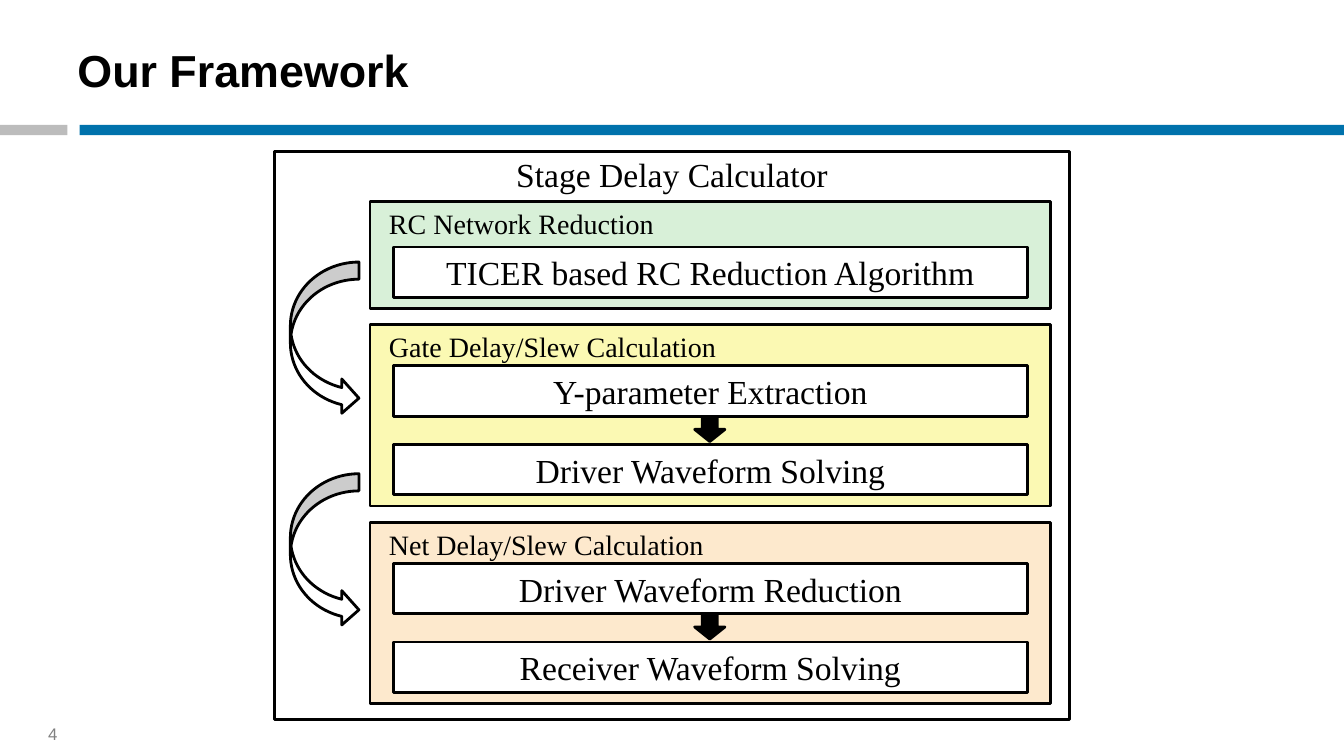
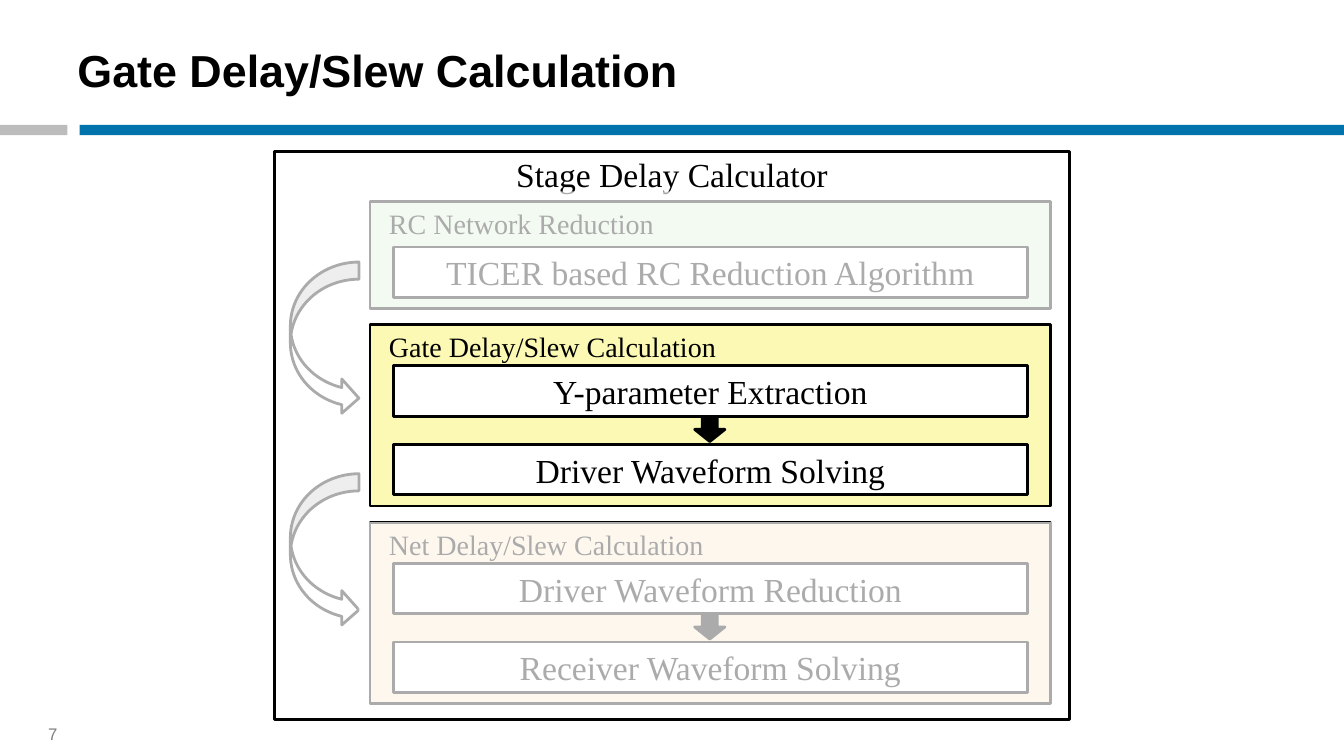
from pptx import Presentation
from pptx import util as u
from pptx.dml import color
from pptx.enum import shapes, text
from pptx.oxml import ns
from lxml import etree

SANS, SERIF = "Arial", "Times New Roman"
BLACK, WHITE, GREY = "000000", "FFFFFF", "808080"
BLUE, SILVER = "0072AC", "BCBCBC"
KIND = shapes.MSO_SHAPE
LEFT, MID = text.PP_ALIGN.LEFT, text.PP_ALIGN.CENTER

FRAME = (2.72, 1.5, 7.89, 5.64)
TOP, GAP = 2, 0.16            # first stage, space between stages
STEP, PITCH, FOOT = 0.5, 0.78, 0.11
STAGES = [
    ("RC Network Reduction", "D8F0D8", 1.06,
     ["TICER based RC Reduction Algorithm"]),
    ("Gate Delay/Slew Calculation", "FBF9B3", 1.8,
     ["Y-parameter Extraction", "Driver Waveform Solving"]),
    ("Net Delay/Slew Calculation", "FDE9CD", 1.8,
     ["Driver Waveform Reduction", "Receiver Waveform Solving"]),
]
VEILS = [(2.84, 2.11, 0.76, 4.87), (3.56, 5.18, 6.89, 1.89),
         (3.58, 1.9, 6.89, 1.2)]


def rgb(code):
    return color.RGBColor.from_string(code)


def place(box):
    return [u.Inches(n) for n in box]


def write(shape, words, size, font, ink=BLACK, align=LEFT, bold=False,
          anchor=text.MSO_ANCHOR.TOP):
    frame = shape.text_frame
    frame.text = words
    frame.word_wrap = True
    frame.vertical_anchor = anchor
    para = frame.paragraphs[0]
    para.alignment = align
    face = para.runs[0].font
    face.size, face.name, face.bold = u.Pt(size), font, bold
    face.color.rgb = rgb(ink)


def label(slide, box, words, size, font, **style):
    write(slide.shapes.add_textbox(*place(box)), words, size, font, **style)


def block(slide, box, fill, line=None, kind=KIND.RECTANGLE):
    shape = slide.shapes.add_shape(kind, *place(box))
    shape.shadow.inherit = False
    shape.fill.solid()
    shape.fill.fore_color.rgb = rgb(fill)
    if line:
        shape.line.color.rgb = rgb(line)
        shape.line.width = u.Pt(2)
    else:
        shape.line.fill.background()
    return shape


def veil(slide, box):
    """Fade what lies below with a see-through white sheet."""
    sheet = block(slide, box, WHITE)
    tint = sheet.fill._xPr.find(ns.qn("a:solidFill"))[0]
    etree.SubElement(tint, ns.qn("a:alpha"), val="67000")


def base(deck, title, number):
    """Add a slide with the shared title, bands and page number."""
    slide = deck.slides.add_slide(deck.slide_layouts[6])
    label(slide, (0.06, 7.13, 0.93, 0.3), str(number), 12, SANS,
          ink=GREY, align=MID)
    block(slide, (0.79, 1.24, 12.55, 0.1), BLUE)
    block(slide, (0, 1.24, 0.67, 0.1), SILVER)
    label(slide, (0.67, 0.07, 12.67, 1.25), title, 32, SANS, bold=True,
          anchor=text.MSO_ANCHOR.MIDDLE)
    return slide


def stage(slide, top, name, fill, high, steps):
    block(slide, (3.67, top, 6.75, high), fill, BLACK)
    label(slide, (3.76, top, 4.96, 0.44), name, 20, SERIF)
    first = top + high - FOOT - STEP - PITCH * (len(steps) - 1)
    for i, words in enumerate(steps):
        y = first + i * PITCH
        step = block(slide, (3.9, y, 6.29, STEP), WHITE, BLACK)
        write(step, words, 24, SERIF, align=MID,
              anchor=text.MSO_ANCHOR.MIDDLE)
        if i:
            block(slide, (6.89, y - 0.27, 0.3, 0.24), BLACK, BLACK,
                  KIND.DOWN_ARROW)


def chart(slide):
    """Draw the whole flow of the calculator."""
    block(slide, FRAME, WHITE, BLACK)
    label(slide, (2.72, 1.48, 7.89, 0.41), "Stage Delay Calculator", 24,
          SERIF, align=MID)
    top = TOP
    for name, fill, high, steps in STAGES:
        stage(slide, top, name, fill, high, steps)
        top += high + GAP
    for y in (2.6, 4.7):
        block(slide, (2.88, y, 0.68, 1.52), WHITE, BLACK,
              KIND.CURVED_RIGHT_ARROW)


def main():
    deck = Presentation()
    deck.slide_width, deck.slide_height = place((13.33, 7.5))
    chart(base(deck, "Our Framework", 4))
    focus = base(deck, "Gate Delay/Slew Calculation", 7)
    chart(focus)
    for box in VEILS:
        veil(focus, box)
    deck.save("out.pptx")


if __name__ == "__main__":
    main()
